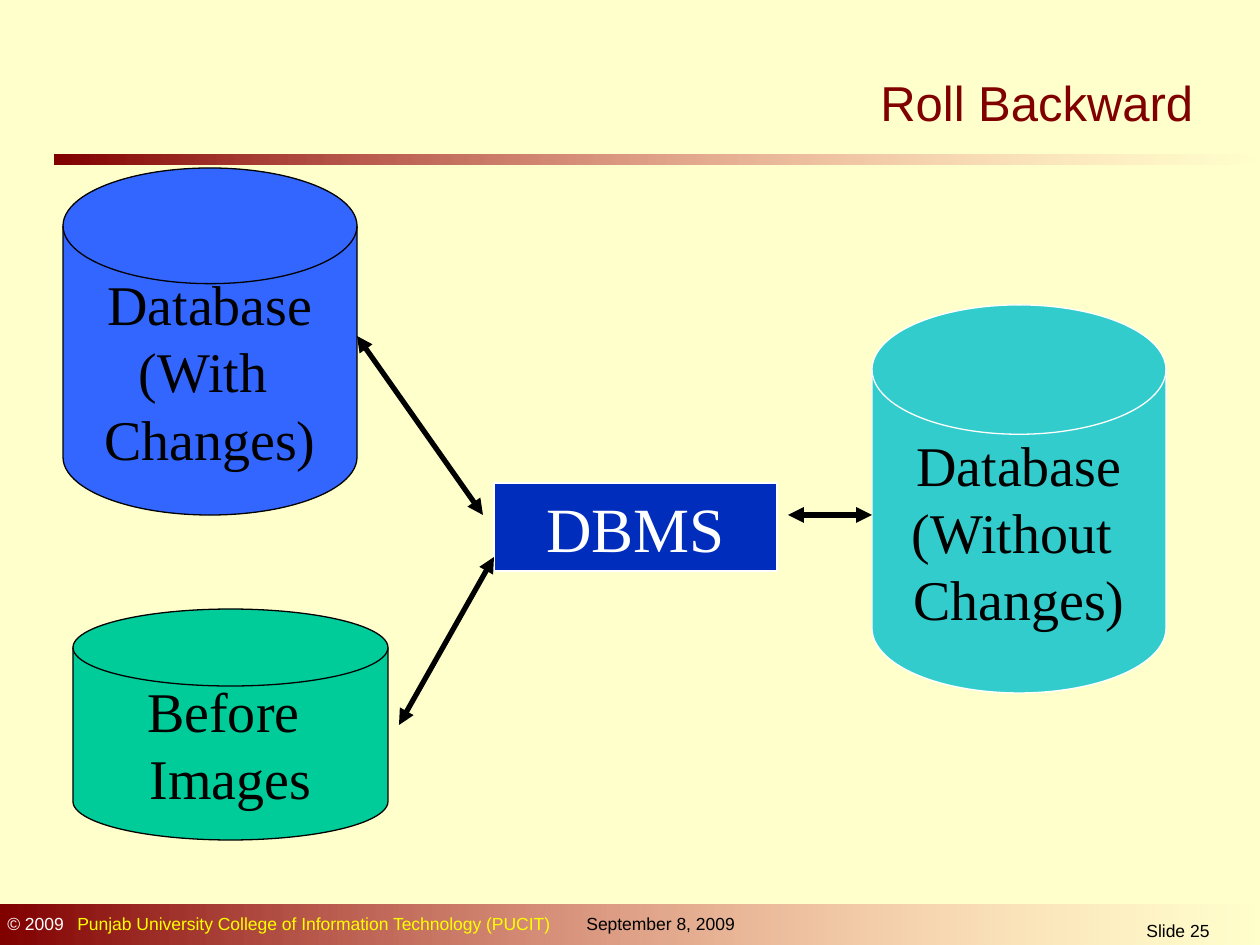
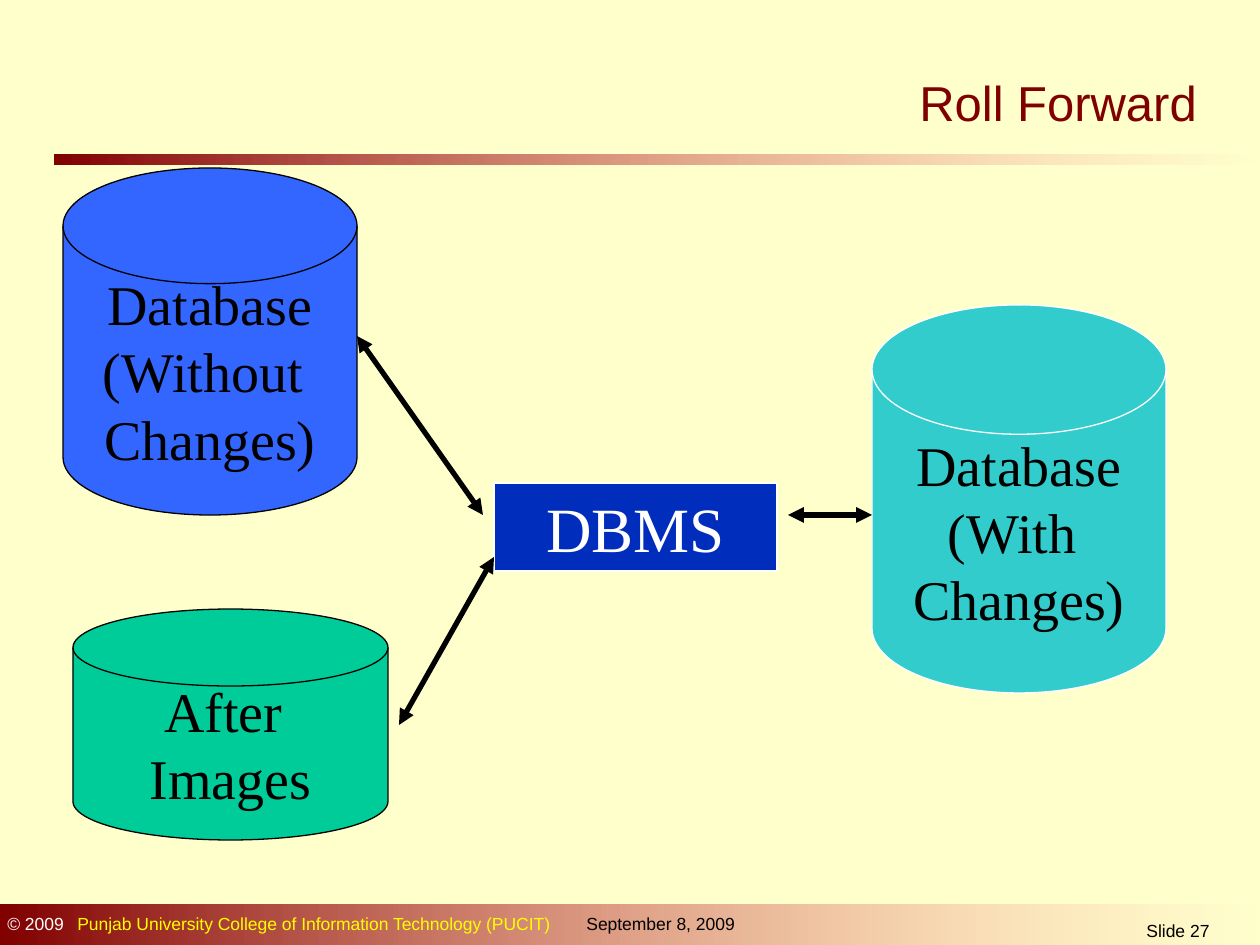
from dataclasses import dataclass

from lxml.etree import SubElement
from pptx import Presentation
from pptx.dml.color import RGBColor
from pptx.enum.shapes import MSO_CONNECTOR, MSO_SHAPE
from pptx.enum.text import MSO_ANCHOR, PP_ALIGN
from pptx.oxml.ns import qn
from pptx.util import Emu, Pt

PX_PER_INCH = 126
SLIDE_W, SLIDE_H = 1260, 945


@dataclass(frozen=True)
class Theme:
    page: str = "FFFFCC"
    maroon: str = "800000"
    fade: str = "FF8585"
    blue: str = "3366FF"
    teal: str = "33CCCC"
    green: str = "00CC99"
    navy: str = "002DBC"
    black: str = "000000"
    white: str = "FFFFFF"
    yellow: str = "FFFF00"
    sans: str = "Arial"
    serif: str = "Times New Roman"
    title_size: int = 28
    disk_size: int = 32
    dbms_size: int = 36
    footer_size: int = 10
    outline: float = 0.75
    arrow: float = 3


THEME = Theme()
RULE_BOX = (54, 155, 1206, 10)
FOOTER_BOX = (0, 905, SLIDE_W, 40)
DIAGRAM_BOX = (63, 168, 1103, 672)


def px(n):
    return Emu(round(n * 914400 / PX_PER_INCH))


def rgb(color):
    return RGBColor.from_string(color)


def inside(box, x, y, w, h):
    return box[0] + x, box[1] + y, w, h


# Shared building blocks
def add_runs(p, runs, size, font):
    for text, color in runs:
        r = p.add_run()
        r.text = text
        r.font.size = Pt(size)
        r.font.name = font
        r.font.color.rgb = rgb(color)


def add_label(s, box, runs, size, align=PP_ALIGN.LEFT, tab=None):
    tf = s.shapes.add_textbox(*map(px, box)).text_frame
    tf.word_wrap = True
    p = tf.paragraphs[0]
    p.alignment = align
    if tab:
        tabs = SubElement(p._p.get_or_add_pPr(), qn("a:tabLst"))
        SubElement(tabs, qn("a:tab"), pos=str(px(tab)), algn="l")
    add_runs(p, runs, size, THEME.sans)


def add_band(s, box):
    sp = s.shapes.add_shape(MSO_SHAPE.RECTANGLE, *map(px, box))
    sp.shadow.inherit = False
    sp.line.fill.background()
    sp.fill.gradient()
    sp.fill.gradient_angle = 0
    for stop, color in zip(sp.fill.gradient_stops, (THEME.maroon, THEME.fade)):
        stop.color.rgb = rgb(color)
    # The last stop fades out completely
    last = list(sp._element.spPr.iter(qn("a:srgbClr")))[-1]
    SubElement(last, qn("a:alpha"), val="0")


def add_node(s, kind, box, fill, line, lines, color, size, anchor, wrap):
    sp = s.shapes.add_shape(kind, *map(px, box))
    sp.shadow.inherit = False
    sp.fill.solid()
    sp.fill.fore_color.rgb = rgb(fill)
    sp.line.color.rgb = rgb(line)
    sp.line.width = Pt(THEME.outline)
    tf = sp.text_frame
    tf.word_wrap = wrap
    tf.vertical_anchor = anchor
    for i, text in enumerate(lines):
        p = tf.add_paragraph() if i else tf.paragraphs[0]
        p.alignment = PP_ALIGN.CENTER
        add_runs(p, [(text, color)], size, THEME.serif)


def add_disk(s, box, fill, line, lines):
    add_node(s, MSO_SHAPE.FLOWCHART_MAGNETIC_DISK, box, fill, line, lines,
             THEME.black, THEME.disk_size, MSO_ANCHOR.MIDDLE, False)


def add_double_arrow(s, x1, y1, x2, y2):
    c = s.shapes.add_connector(MSO_CONNECTOR.STRAIGHT, *map(px, (x1, y1, x2, y2)))
    c.line.color.rgb = rgb(THEME.black)
    c.line.width = Pt(THEME.arrow)
    ln = c.line._get_or_add_ln()
    for end in ("a:headEnd", "a:tailEnd"):
        SubElement(ln, qn(end), type="triangle")
    SubElement(c._element.spPr, qn("a:effectLst"))


# Slide regions
def draw_title(s, title, left):
    add_label(s, (left, 66, SLIDE_W - left, 79), [(title, THEME.maroon)], THEME.title_size)
    add_band(s, RULE_BOX)


def draw_footer(s, box, number):
    add_band(s, box)
    size = THEME.footer_size
    add_label(s, inside(box, -5, 2, 580, 34),
              [("© 2009", THEME.white),
               ("\tPunjab University College of Information Technology (PUCIT)", THEME.yellow)],
              size, tab=70)
    add_label(s, inside(box, 574, 2, 195, 34), [("September 8, 2009", THEME.black)], size)
    add_label(s, inside(box, 1096, 9, 164, 30), [(f"Slide {number}", THEME.black)],
              size, PP_ALIGN.CENTER)


def draw_diagram(s, box, before, after, images):
    # Databases and log
    add_disk(s, inside(box, 0, 0, 294, 347), THEME.blue, THEME.black,
             ["Database", f"({before} ", "Changes)"])
    add_disk(s, inside(box, 809, 137, 294, 388), THEME.teal, THEME.white,
             ["Database", f"({after} ", "Changes)"])
    add_disk(s, inside(box, 10, 441, 315, 231), THEME.green, THEME.black,
             [f"{images} ", "Images"])
    # Engine in the middle
    add_node(s, MSO_SHAPE.RECTANGLE, inside(box, 431, 315, 283, 88), THEME.navy, THEME.white,
             ["DBMS"], THEME.white, THEME.dbms_size, MSO_ANCHOR.TOP, True)
    # Arrows
    x, y = box[:2]
    for x1, y1, x2, y2 in ((431, 389, 336, 557), (294, 168, 420, 347), (725, 347, 809, 347)):
        add_double_arrow(s, x + x1, y + y1, x + x2, y + y2)


def build_slide(prs, number, title, title_left, before, after, images):
    s = prs.slides.add_slide(prs.slide_layouts[6])
    s.background.fill.solid()
    s.background.fill.fore_color.rgb = rgb(THEME.page)
    draw_footer(s, FOOTER_BOX, number)
    draw_title(s, title, title_left)
    draw_diagram(s, DIAGRAM_BOX, before, after, images)


def main():
    prs = Presentation()
    prs.slide_width, prs.slide_height = px(SLIDE_W), px(SLIDE_H)
    build_slide(prs, 25, "Roll Backward", 868, "With", "Without", "Before")
    build_slide(prs, 27, "Roll Forward", 907, "Without", "With", "After")
    prs.save("out.pptx")


if __name__ == "__main__":
    main()
